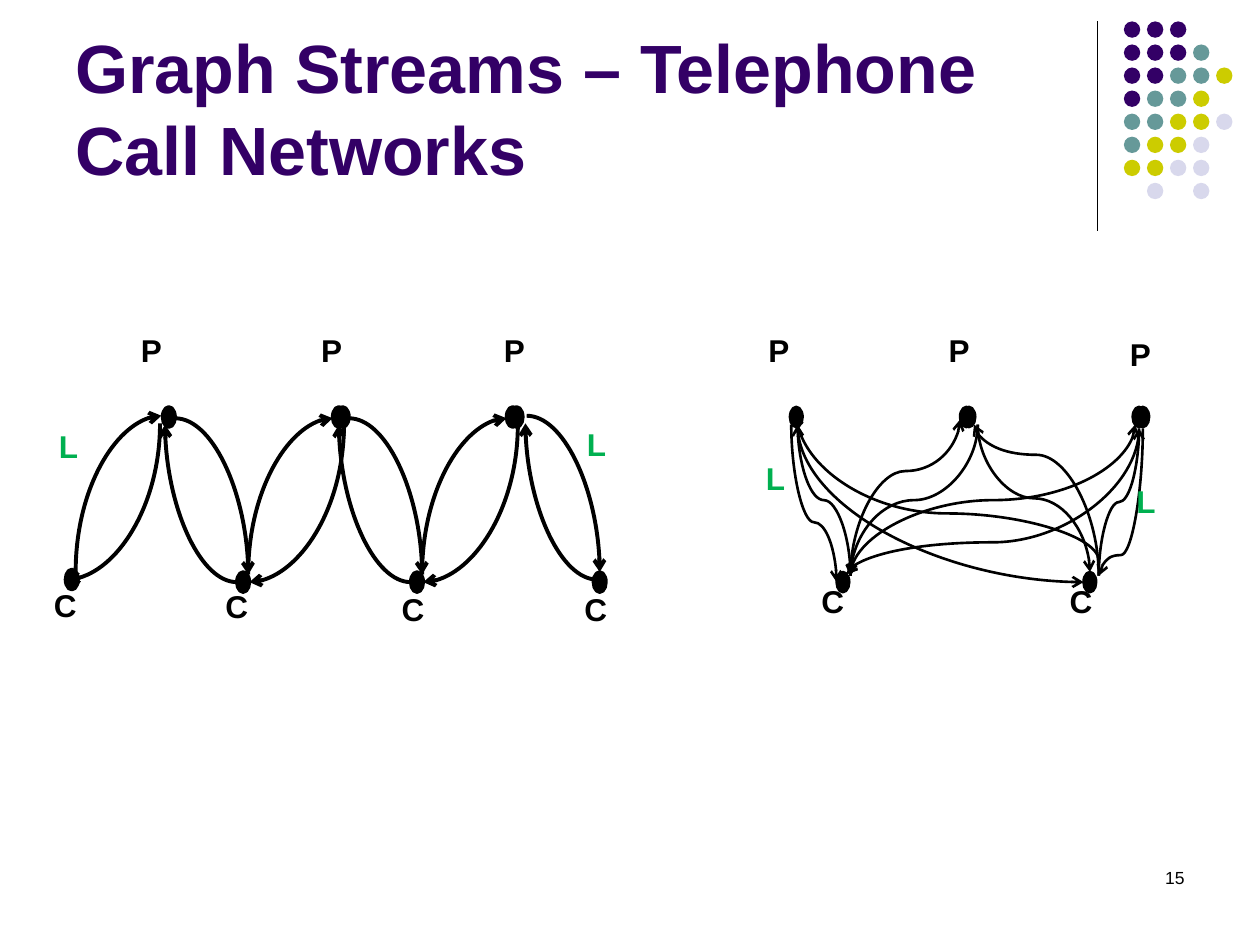
from dataclasses import dataclass, replace
from math import cos, radians, sin
from typing import Optional

from lxml import etree
from pptx import Presentation
from pptx.dml.color import RGBColor
from pptx.enum.shapes import MSO_CONNECTOR, MSO_SHAPE
from pptx.enum.text import MSO_ANCHOR, PP_ALIGN
from pptx.oxml.ns import qn
from pptx.util import Cm, Pt

CURVE, STRAIGHT = MSO_CONNECTOR.CURVE, MSO_CONNECTOR.STRAIGHT
OVAL = MSO_SHAPE.OVAL
TOP, BOTTOM = MSO_ANCHOR.TOP, MSO_ANCHOR.BOTTOM
LEFT, RIGHT = PP_ALIGN.LEFT, PP_ALIGN.RIGHT

BLACK, GREEN, PURPLE = "000000", "00B050", "330066"
DOT_COLORS = {"P": PURPLE, "T": "669999", "Y": "CCCC00", "L": "D8D8EC"}
DOT_ROWS = ("PPP", "PPPT", "PPTTY", "PTTY", "TTYYL", "TYYL", "YYLL", " L L")
DOT_PITCH = 0.183
UNIT_PITCH = 1.38
NODE_W, NODE_H = 0.1, 0.16


@dataclass(frozen=True)
class Node:
    x: float
    y: float


@dataclass(frozen=True)
class Label:
    text: str
    x: float
    y: float


@dataclass(frozen=True)
class Arc:
    x1: float
    y1: float
    x2: float
    y2: float
    turn: int
    bend: Optional[float] = None


UNIT_NODES = (Node(1.29, 3.23), Node(1.88, 4.54), Node(2.64, 3.23))
UNIT_ARCS = (
    Arc(1.88, 4.62, 1.31, 3.37, 180),
    Arc(1.39, 3.32, 1.97, 4.56, 0),
    Arc(1.97, 4.56, 2.64, 3.32, 90),
    Arc(2.73, 3.37, 1.98, 4.62, 90),
)
END_NODES = (Node(4.05, 3.23), Node(0.52, 4.52), Node(4.71, 4.54))
END_ARCS = (
    Arc(0.6, 4.54, 1.28, 3.3, 90),
    Arc(1.27, 3.36, 0.53, 4.6, 90),
    Arc(4.74, 4.6, 4.17, 3.36, 180),
    Arc(4.18, 3.3, 4.76, 4.54, 0),
)
MESH_NODES = tuple(Node(x, 3.23) for x in (6.27, 7.62, 7.64, 8.99, 9.02)) + (
    Node(6.64, 4.54), Node(8.6, 4.54))
MESH_ARCS = (
    Arc(6.28, 3.37, 6.64, 4.62, 270, 0.62),
    Arc(6.75, 4.57, 6.33, 3.37, 270, 0.5),
    Arc(6.75, 4.57, 7.62, 3.33, 90, 0.67),
    Arc(7.76, 3.37, 6.75, 4.57, 90, 0.5),
    Arc(6.75, 4.57, 9.01, 3.37, 90, 0.5),
    Arc(9.04, 3.4, 6.72, 4.56, 90, 0.78),
    Arc(6.33, 3.37, 8.6, 4.62, 270),
    Arc(8.72, 4.45, 6.32, 3.28, 270, 0.32),
    Arc(7.76, 3.37, 8.65, 4.54, 270, 0.5),
    Arc(8.72, 4.57, 7.73, 3.37, 270, 0.8),
    Arc(8.72, 4.57, 9.04, 3.4, 90, 0.5),
    Arc(9.07, 3.4, 8.72, 4.57, 90, 0.86),
)
LABELS = (
    Label("P", 1.02, 2.58), Label("P", 2.45, 2.58), Label("P", 3.9, 2.58),
    Label("C", 0.33, 4.6), Label("C", 1.69, 4.61),
    Label("C", 3.09, 4.63), Label("C", 4.54, 4.63),
    Label("L", 0.37, 3.34), Label("L", 4.56, 3.32),
    Label("P", 6, 2.58), Label("P", 7.43, 2.58), Label("P", 8.87, 2.61),
    Label("C", 6.42, 4.57), Label("C", 8.39, 4.57),
    Label("L", 5.98, 3.59), Label("L", 8.92, 3.78),
)


def inches(value: float) -> Cm:
    return Cm(2.54 * value)


def color(value: str) -> RGBColor:
    return RGBColor.from_string(value)


def add_text(s, text: str, x: float, y: float, w: float, h: float, *,
             size: float, fill: str = BLACK, bold: bool = False,
             align=LEFT, anchor=TOP, spacing: float = 1.0) -> None:
    tf = s.shapes.add_textbox(*map(inches, (x, y, w, h))).text_frame
    tf.word_wrap = True
    tf.vertical_anchor = anchor
    p = tf.paragraphs[0]
    p.alignment = align
    p.line_spacing = spacing
    r = p.add_run()
    r.text = text
    r.font.name = "Arial"
    r.font.size = Pt(size)
    r.font.bold = bold
    r.font.color.rgb = color(fill)


def add_oval(s, x: float, y: float, w: float, h: float, fill: str,
             line: float = 0) -> None:
    sp = s.shapes.add_shape(OVAL, *map(inches, (x, y, w, h)))
    sp.shadow.inherit = False
    sp.fill.solid()
    sp.fill.fore_color.rgb = color(fill)
    if line:
        sp.line.color.rgb = color(fill)
        sp.line.width = Pt(line)
    else:
        sp.line.fill.background()


def add_line(s, kind, x1: float, y1: float, x2: float, y2: float, width: float):
    cxn = s.shapes.add_connector(kind, *map(inches, (x1, y1, x2, y2)))
    cxn.line.color.rgb = color(BLACK)
    cxn.line.width = Pt(width)
    etree.SubElement(cxn._element.spPr, qn("a:effectLst"))
    return cxn


def add_arc(s, arc: Arc, width: float) -> None:
    dx, dy = arc.x2 - arc.x1, arc.y2 - arc.y1
    c, d = cos(radians(arc.turn)), sin(radians(arc.turn))
    half_w, half_h = (dx * c + dy * d) / 2, (dy * c - dx * d) / 2
    mx, my = (arc.x1 + arc.x2) / 2, (arc.y1 + arc.y2) / 2
    cxn = add_line(s, CURVE, mx - half_w, my - half_h,
                   mx + half_w, my + half_h, width)
    pr = cxn._element.spPr
    if arc.turn:
        pr.find(qn("a:xfrm")).set("rot", str(arc.turn * 60000))
    geom = pr.find(qn("a:prstGeom"))
    if arc.bend is None:
        geom.set("prst", "curvedConnector2")
    else:
        etree.SubElement(geom.find(qn("a:avLst")), qn("a:gd"), name="adj1",
                         fmla=f"val {round(arc.bend * 100000)}")
    etree.SubElement(pr.find(qn("a:ln")), qn("a:tailEnd"), type="arrow")


def add_graph(s, nodes, arcs, node_line: float, arc_line: float) -> None:
    for n in nodes:
        add_oval(s, n.x, n.y, NODE_W, NODE_H, BLACK, node_line)
    for arc in arcs:
        add_arc(s, arc, arc_line)


def add_dots(s) -> None:
    for row, keys in enumerate(DOT_ROWS):
        for col, key in enumerate(keys):
            if key in DOT_COLORS:
                add_oval(s, 8.92 + col * DOT_PITCH, 0.17 + row * DOT_PITCH,
                         0.13, 0.13, DOT_COLORS[key])


def main() -> None:
    prs = Presentation()
    prs.slide_width, prs.slide_height = inches(10), inches(7.5)
    s = prs.slides.add_slide(prs.slide_layouts[6])
    add_line(s, STRAIGHT, 8.71, 0.17, 8.71, 1.83, 0.75)
    add_dots(s)
    add_text(s, "Graph Streams – Telephone Call Networks", 0.5, 0.13, 8.25, 1.42,
             size=39, fill=PURPLE, bold=True, anchor=BOTTOM)
    add_text(s, "15", 7.17, 6.83, 2.33, 0.5, size=10, align=RIGHT)
    for shift in (0, UNIT_PITCH):
        nodes = [Node(n.x + shift, n.y) for n in UNIT_NODES]
        arcs = [replace(a, x1=a.x1 + shift, x2=a.x2 + shift) for a in UNIT_ARCS]
        add_graph(s, nodes, arcs, 2, 2.25)
    add_graph(s, END_NODES, END_ARCS, 2, 2.25)
    add_graph(s, MESH_NODES, MESH_ARCS, 1.5, 1.5)
    for label in LABELS:
        add_text(s, label.text, label.x, label.y, 0.66, 0.79, size=18, bold=True,
                 fill=GREEN if label.text == "L" else BLACK)
    prs.save("out.pptx")


if __name__ == "__main__":
    main()
